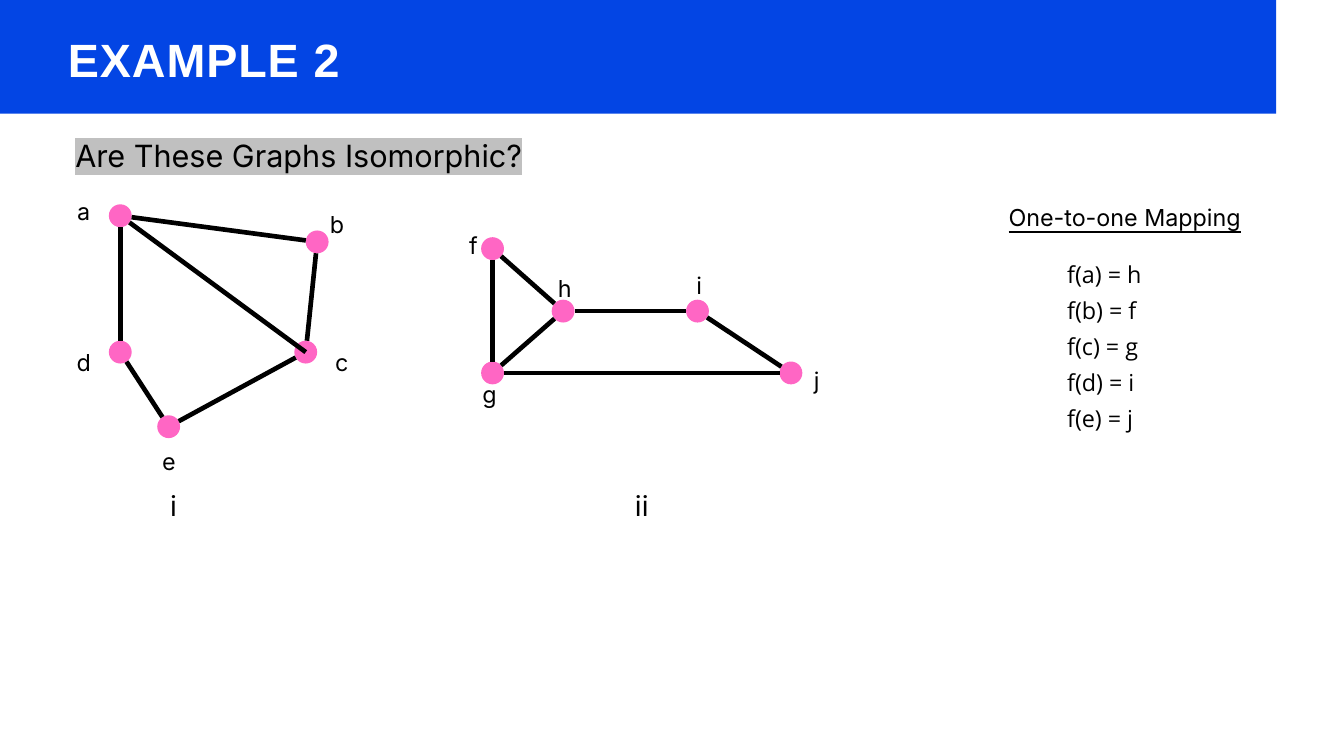
import math

import lxml.etree
import pptx
import pptx.dml.color
import pptx.enum.shapes
import pptx.enum.text
import pptx.oxml.ns
import pptx.util

Inches = pptx.util.Inches
Pt = pptx.util.Pt
ALIGN = pptx.enum.text.PP_ALIGN
SHAPE = pptx.enum.shapes.MSO_SHAPE
BLUE, PINK, BLACK, WHITE, GREY = "0345E4", "FF66C4", "000000", "FFFFFF", "C0C0C0"
RADIUS = 0.17


def color(hex_string):
    return pptx.dml.color.RGBColor.from_string(hex_string)


def add_text(left, top, width, height, lines, size, spacing,
             font="Inter", fill=BLACK, align=ALIGN.CENTER):
    """Add a text box with one paragraph per line and return its first run."""
    box = slide.shapes.add_textbox(Inches(left), Inches(top), Inches(width), Inches(height))
    frame = box.text_frame
    frame.word_wrap = True
    frame.margin_left = frame.margin_top = frame.margin_right = frame.margin_bottom = 0
    for index, line in enumerate(lines):
        para = frame.add_paragraph() if index else frame.paragraphs[0]
        para.alignment = align
        para.line_spacing = Pt(spacing)
        span = para.add_run()
        span.text = line
        span.font.size = Pt(size)
        span.font.name = font
        span.font.color.rgb = color(fill)
    return frame.paragraphs[0].runs[0]


deck = pptx.Presentation()
deck.slide_width = Inches(20)
deck.slide_height = Inches(11.25)
slide = deck.slides.add_slide(deck.slide_layouts[6])

# Title band and question
band = slide.shapes.add_shape(SHAPE.RECTANGLE, 0, 0, Inches(18.99), Inches(1.69))
band.shadow.inherit = False
band.fill.solid()
band.fill.fore_color.rgb = color(BLUE)
band.line.fill.background()

title = add_text(1.01, 0.32, 11.78, 0.93, ["EXAMPLE 2"], 50, 70, "Arial", WHITE, ALIGN.LEFT)
title.font.bold = True
title.font._element.set("spc", "100")

question = add_text(0.65, 1.95, 7.59, 0.61, ["Are These Graphs Isomorphic?"], 32.8, 46)
highlight = lxml.etree.Element(pptx.oxml.ns.qn("a:highlight"))
lxml.etree.SubElement(highlight, pptx.oxml.ns.qn("a:srgbClr"), val=GREY)
question.font._element.find(pptx.oxml.ns.qn("a:solidFill")).addnext(highlight)

# Both graphs: node centre, then left and top of its label
nodes = {
    "a": (1.79, 3.21, 1.07, 2.86),
    "b": (4.72, 3.60, 4.84, 3.06),
    "c": (4.55, 5.24, 4.91, 5.11),
    "d": (1.79, 5.24, 1.07, 5.11),
    "e": (2.51, 6.35, 2.34, 6.58),
    "f": (7.33, 3.70, 6.87, 3.37),
    "g": (7.33, 5.55, 7.11, 5.59),
    "h": (8.38, 4.63, 8.23, 4.01),
    "i": (10.38, 4.63, 10.23, 3.97),
    "j": (11.77, 5.55, 11.98, 5.38),
}
edges = ["ab", "ac", "ad", "bc", "ce", "de", "fg", "fh", "gh", "hi", "ij", "gj"]

for name, (x, y, label_left, label_top) in nodes.items():
    node = slide.shapes.add_shape(SHAPE.OVAL, Inches(x - RADIUS), Inches(y - RADIUS),
                                  Inches(2 * RADIUS), Inches(2 * RADIUS))
    node.shadow.inherit = False
    node.fill.solid()
    node.fill.fore_color.rgb = color(PINK)
    node.line.fill.background()
    add_text(label_left, label_top, 0.35, 0.45, [name], 25, 35)

# Edges run from rim to rim, except the diagonal, which ends at the centre of c
for edge in edges:
    x1, y1 = nodes[edge[0]][:2]
    x2, y2 = nodes[edge[1]][:2]
    length = math.dist((x1, y1), (x2, y2))
    dx, dy = RADIUS * (x2 - x1) / length, RADIUS * (y2 - y1) / length
    end_trim = 0 if edge == "ac" else 1
    line = slide.shapes.add_connector(
        pptx.enum.shapes.MSO_CONNECTOR.STRAIGHT,
        Inches(x1 + dx), Inches(y1 + dy),
        Inches(x2 - end_trim * dx), Inches(y2 - end_trim * dy))
    line.line.color.rgb = color(BLACK)
    line.line.width = Pt(5)
    lxml.etree.SubElement(line._element.spPr, pptx.oxml.ns.qn("a:effectLst"))

for left, caption in [(2.42, "i"), (9.39, "ii")]:
    add_text(left, 7.18, 0.32, 0.55, [caption], 30, 42)

# Mapping between the graphs
heading = add_text(15, 2.96, 3.47, 0.46, ["One-to-one Mapping"], 25, 35)
heading.font.underline = True
mapping = [f"f({source}) = {target}" for source, target in zip("abcde", "hfgij")]
add_text(15.88, 3.75, 1.71, 3.16, mapping, 25, 38.7, "Open Sans", align=ALIGN.JUSTIFY)

deck.save("out.pptx")
